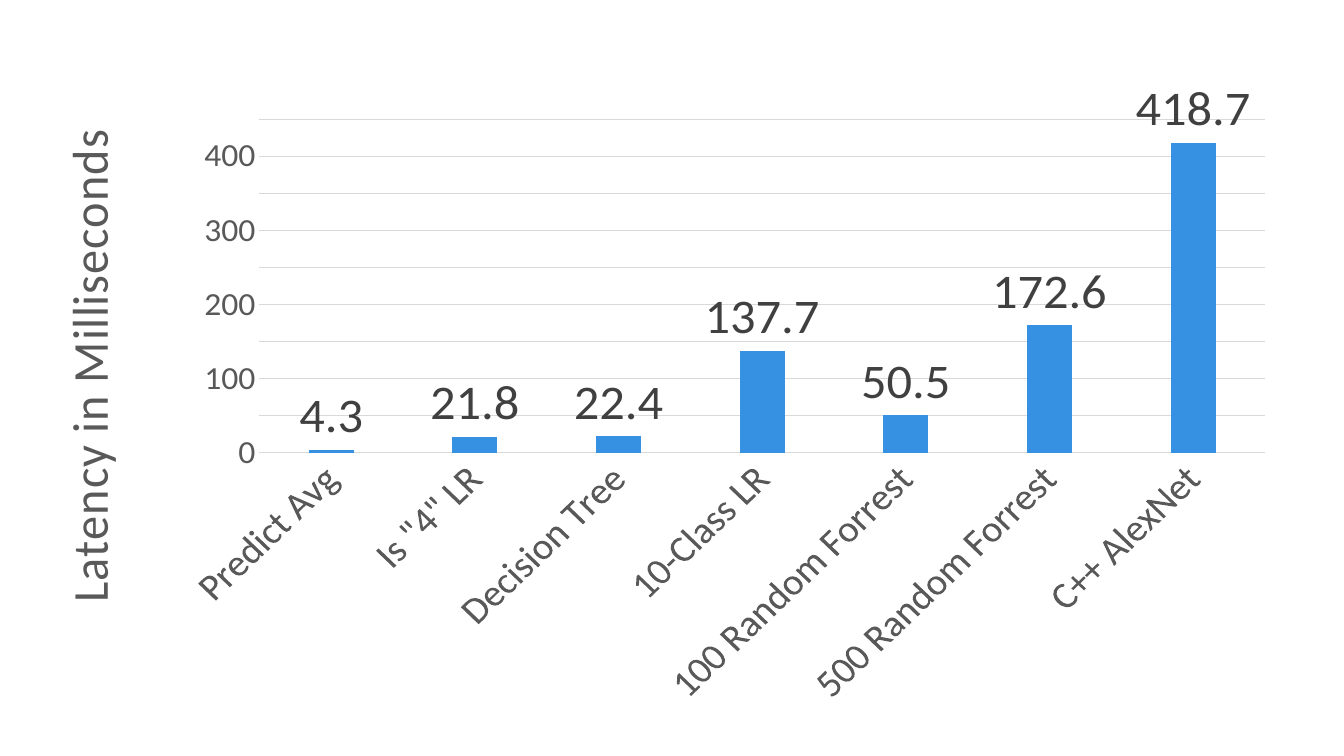
from dataclasses import dataclass

from lxml import etree
from pptx import Presentation
from pptx.chart.data import CategoryChartData
from pptx.dml.color import RGBColor
from pptx.enum.chart import XL_CHART_TYPE, XL_LABEL_POSITION, XL_TICK_MARK
from pptx.oxml.ns import qn
from pptx.util import Cm, Pt

COLUMNS = XL_CHART_TYPE.COLUMN_CLUSTERED
LABEL_ABOVE = XL_LABEL_POSITION.OUTSIDE_END
NO_TICKS = XL_TICK_MARK.NONE

FONT = "Calibri"
COLORS = {"bar": "3691E3", "axis": "595959", "label": "404040", "grid": "D9D9D9"}


@dataclass(frozen=True)
class Latency:
    model: str
    milliseconds: float


@dataclass(frozen=True)
class Area:
    """A rectangle on the slide, in centimetres."""
    left: float
    top: float
    width: float = 0
    height: float = 0


LATENCIES = [
    Latency("Predict Avg", 4.3),
    Latency('Is "4" LR', 21.8),
    Latency("Decision Tree", 22.4),
    Latency("10-Class LR", 137.7),
    Latency("100 Random Forrest", 50.5),
    Latency("500 Random Forrest", 172.6),
    Latency("C++ AlexNet", 418.7),
]
CHART_AREA = Area(1.12, 2.0, 31.4, 16.1)
PLOT_AREA_WITH_LABELS = Area(4.74, 2.34, 27.14, 15.45)
AXIS_TITLE_AREA = Area(1.12, 2.9)


def color(name: str) -> RGBColor:
    return RGBColor.from_string(COLORS[name])


def format_font(font, *, size: int, color_name: str) -> None:
    font.name = FONT
    font.size = Pt(size)
    font.bold = False
    font.color.rgb = color(color_name)


def write_text(frame, text: str, *, size: int, color_name: str) -> None:
    span = frame.paragraphs[0].add_run()
    span.text = text
    format_font(span.font, size=size, color_name=color_name)


def format_thin_line(line) -> None:
    line.color.rgb = color("grid")
    line.width = Pt(0.75)


def place_in_chart(element, area: Area) -> None:
    """Fix a chart part at an area, as fractions of the chart's size."""
    layout = element.find(qn("c:layout"))
    if layout is None:
        layout = etree.Element(qn("c:layout"))
        element.insert(0, layout)
    manual = etree.SubElement(layout, qn("c:manualLayout"))
    settings = {
        "xMode": "edge",
        "yMode": "edge",
        "x": (area.left - CHART_AREA.left) / CHART_AREA.width,
        "y": (area.top - CHART_AREA.top) / CHART_AREA.height,
    }
    if area.width:
        settings["w"] = area.width / CHART_AREA.width
        settings["h"] = area.height / CHART_AREA.height
    for tag, value in settings.items():
        etree.SubElement(manual, qn(f"c:{tag}")).set("val", str(value))


def rotate_text(body, degrees: int) -> None:
    body.set("rot", str(degrees * 60000))
    body.set("vert", "horz")


def format_category_axis(axis) -> None:
    axis.major_tick_mark = axis.minor_tick_mark = NO_TICKS
    axis.has_major_gridlines = False
    format_thin_line(axis.format.line)
    format_font(axis.tick_labels.font, size=28, color_name="axis")
    rotate_text(axis._element.find(f"{qn('c:txPr')}/{qn('a:bodyPr')}"), -45)


def format_value_axis(axis) -> None:
    axis.minimum_scale, axis.maximum_scale, axis.major_unit = 0, 450, 50
    axis.major_tick_mark = axis.minor_tick_mark = NO_TICKS
    axis.format.line.fill.background()
    axis.has_major_gridlines = True
    format_thin_line(axis.major_gridlines.format.line)
    format_font(axis.tick_labels.font, size=24, color_name="axis")
    title = axis.axis_title
    write_text(title.text_frame, "Latency in Milliseconds", size=36, color_name="axis")
    rotate_text(title._element.find(f".//{qn('a:bodyPr')}"), -90)
    place_in_chart(title._element, AXIS_TITLE_AREA)


def format_columns(plot) -> None:
    plot.gap_width = 219
    plot.overlap = -27
    plot.vary_by_categories = False
    series = plot.series[0]
    series.format.fill.solid()
    series.format.fill.fore_color.rgb = color("bar")
    labels = series.data_labels
    labels.show_value = True
    labels.position = LABEL_ABOVE
    format_font(labels.font, size=36, color_name="label")


def add_latency_chart(page) -> None:
    data = CategoryChartData()
    data.categories = [latency.model for latency in LATENCIES]
    data.add_series("Series 1", [latency.milliseconds for latency in LATENCIES])
    area = CHART_AREA
    chart = page.shapes.add_chart(
        COLUMNS, Cm(area.left), Cm(area.top), Cm(area.width), Cm(area.height), data
    ).chart
    chart.has_title = False
    chart.has_legend = False
    chart.font.name = FONT
    chart.font.size = Pt(24)
    format_category_axis(chart.category_axis)
    format_value_axis(chart.value_axis)
    format_columns(chart.plots[0])
    place_in_chart(chart._chartSpace.find(f".//{qn('c:plotArea')}"), PLOT_AREA_WITH_LABELS)


def main() -> None:
    deck = Presentation()
    deck.slide_width, deck.slide_height = Cm(33.87), Cm(19.05)
    page = deck.slides.add_slide(deck.slide_layouts[6])
    add_latency_chart(page)
    deck.save("out.pptx")


if __name__ == "__main__":
    main()
